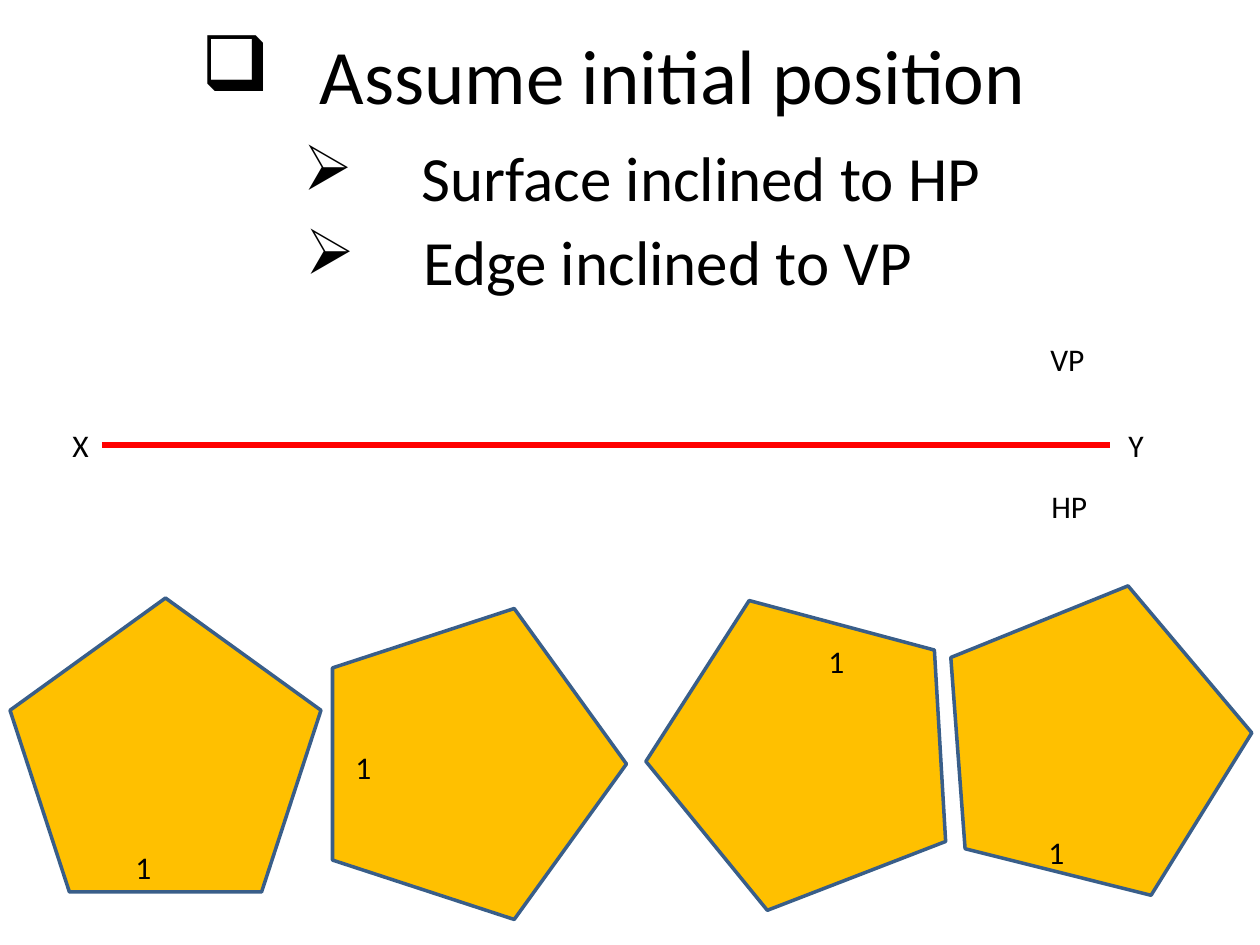
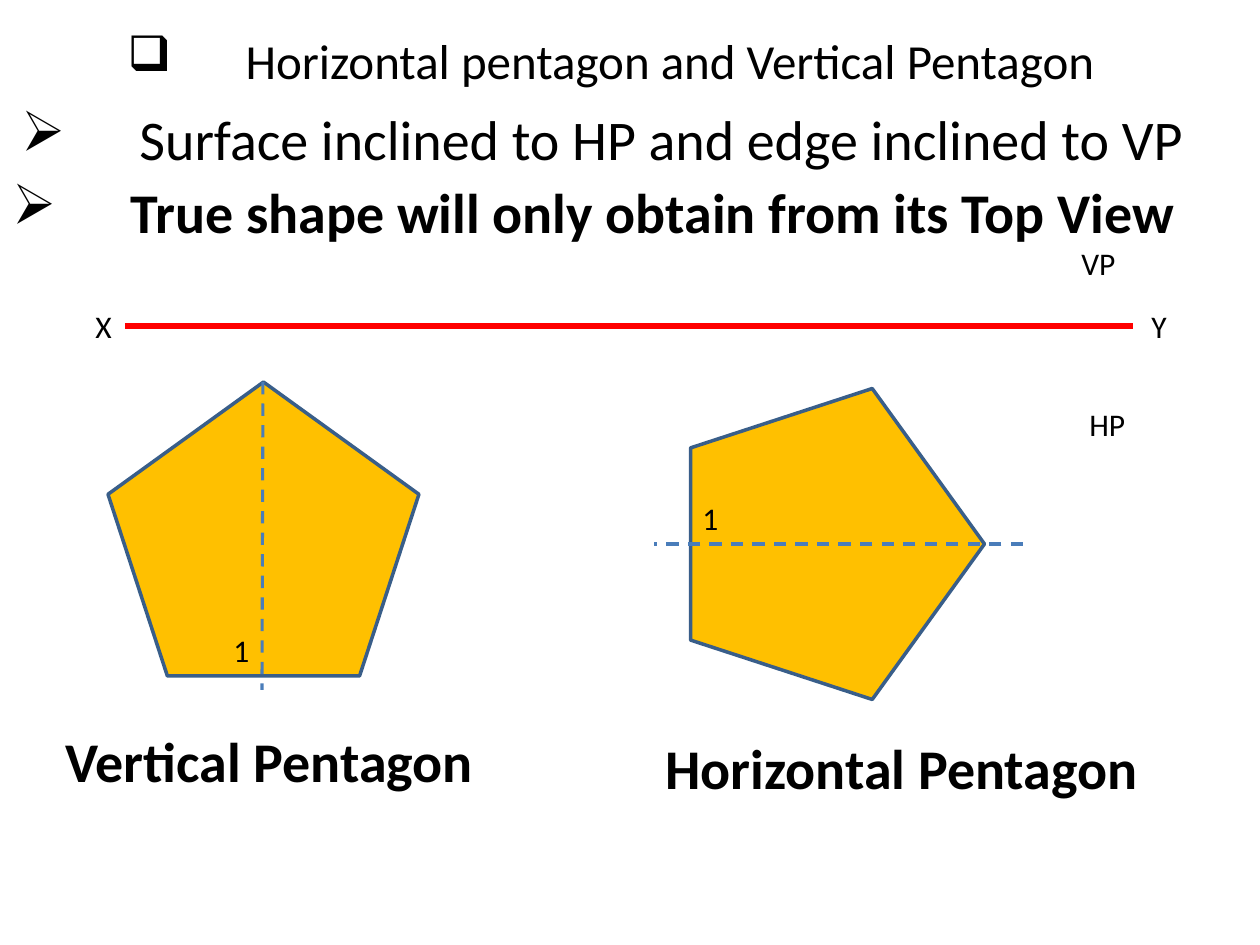
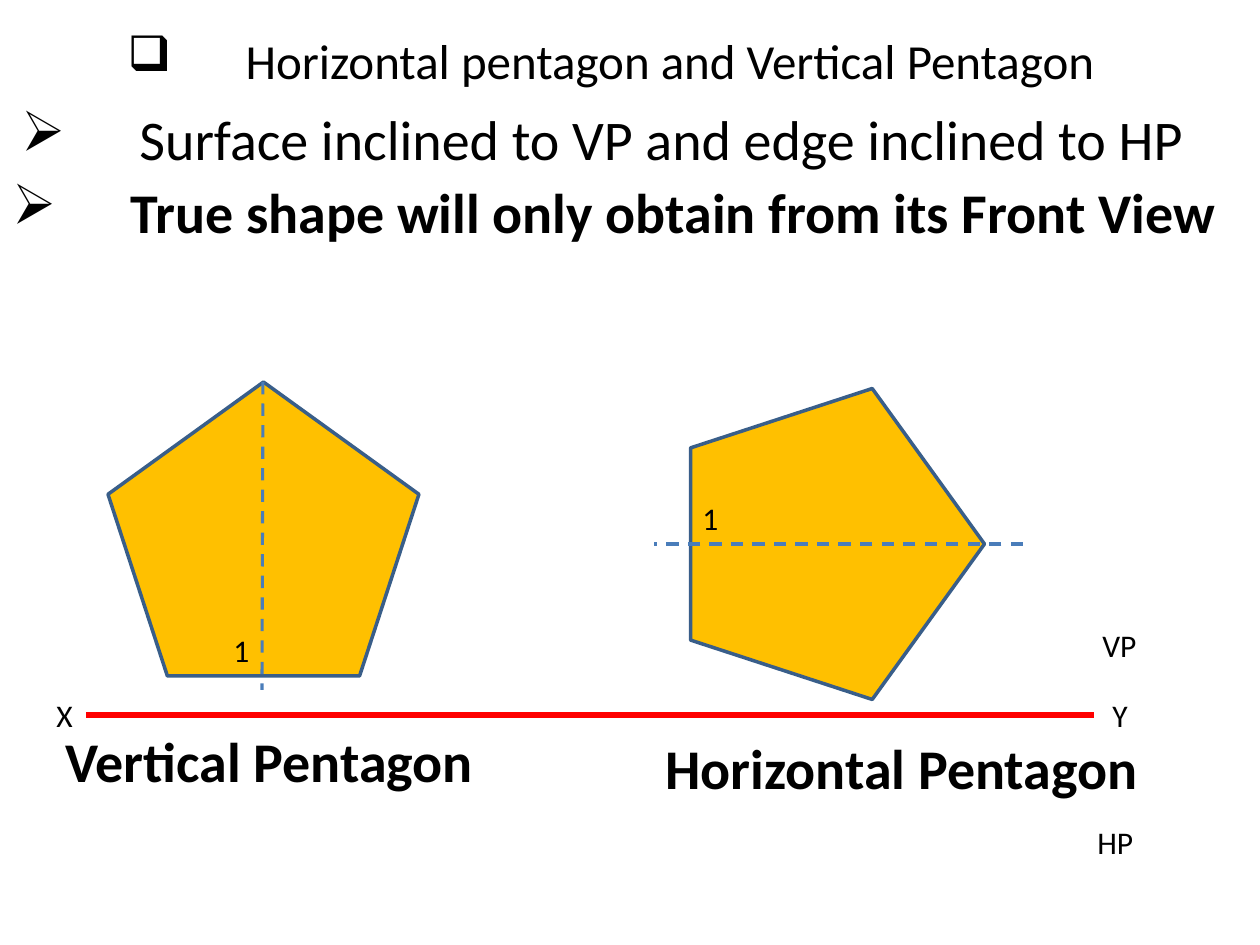
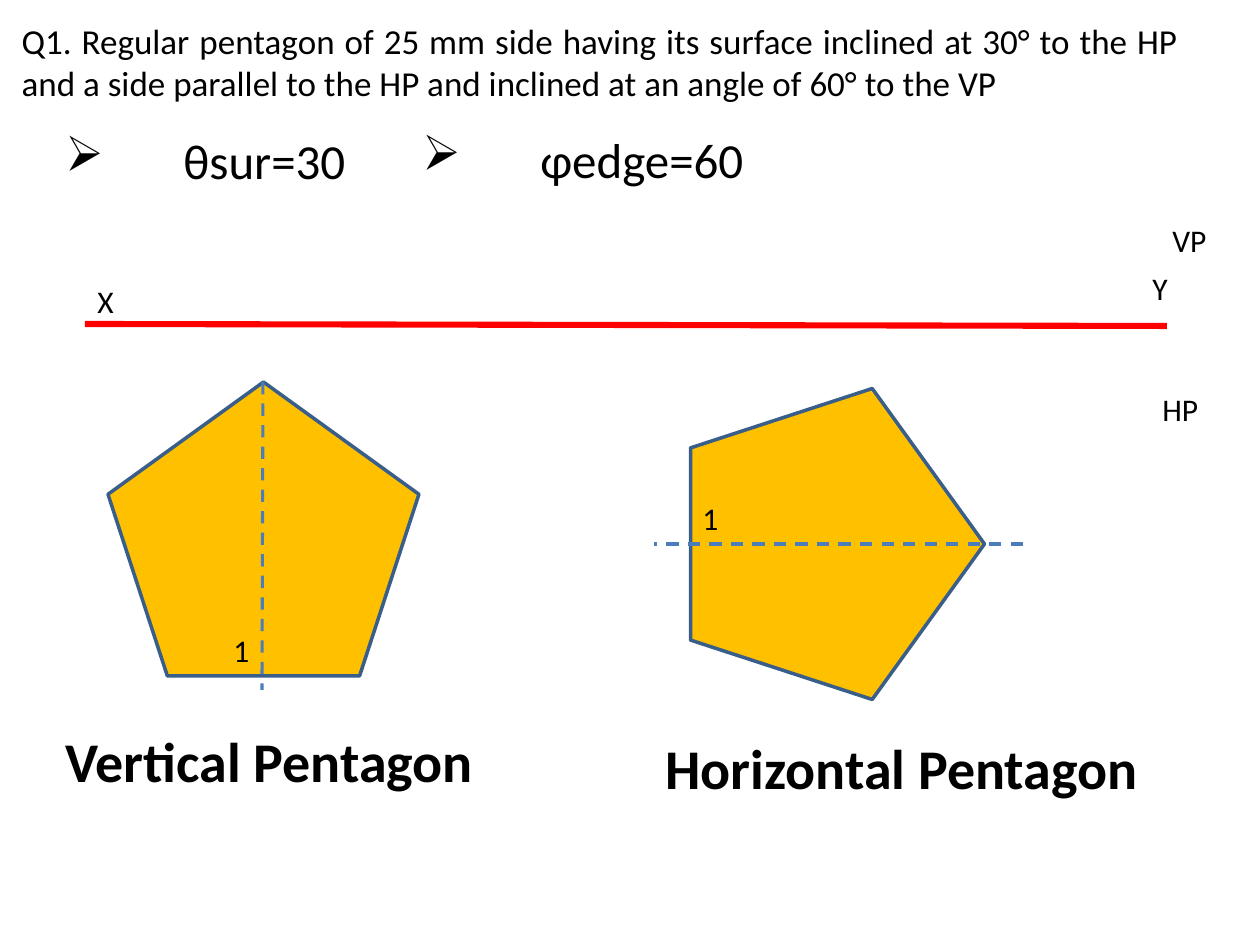
import pptx
import pptx.dml.color
import pptx.enum.dml
import pptx.enum.shapes
import pptx.enum.text
import pptx.oxml.ns
import pptx.util
import lxml.etree

ALIGN = pptx.enum.text.PP_ALIGN
EMU_PER_PX = 914400 / 126
SLIDE_SIZE = (1260, 945)
TITLE_ONLY = 5
FONT = "Calibri"
COLOURS = {"text": "000000", "axis": "FF0000", "pentagon": "FFC000",
           "outline": "395E89", "centre line": "4A7DBA"}

# Wingdings codes: q draws a shadowed box, Ø draws an arrowhead
BULLET_FONT = "Wingdings"
BOX, ARROW = "q", "Ø"
BULLET_INDENT = 118

# Text styles: font values, box height, bullet, alignment
STYLES = {
    "heading": {"font": {"size": 44}, "height": 106, "bullet": BOX},
    "subheading": {"font": {"size": 28}, "height": 72, "bullet": BOX},
    "question": {"font": {"size": 20}, "height": 97, "align": ALIGN.JUSTIFY},
    "condition": {"font": {"size": 36}, "height": 89, "bullet": ARROW},
    "rule": {"font": {"size": 32}, "height": 81, "bullet": ARROW},
    "strong rule": {"font": {"size": 32, "bold": True}, "height": 81, "bullet": ARROW},
    "angle": {"font": {"size": 28}, "height": 72, "bullet": ARROW},
    "caption": {"font": {"size": 32, "bold": True}, "height": 81},
    "label": {"font": {"size": 18}, "height": 50},
}
PENTAGON_SIZE = (311, 294)
LABEL_WIDTHS = {"VP": 62, "HP": 62, "X": 42, "Y": 40, "1": 42}

# Content shared by slides: (left, top, rotation, edge label position, centre line)
PAIR = [(108, 382, 0, (221, 625), ((263, 382), (262, 690))),
        (682, 397, 90, (690, 493), ((1023, 544), (654, 544)))]
CAPTIONS = [("caption", "Vertical Pentagon", 53, 720, 501),
            ("caption", "Horizontal Pentagon", 653, 727, 501)]
PAIR_TITLE = ("subheading", "Horizontal pentagon and Vertical Pentagon", 115, 24, 1003)
BESIDE_AXIS = ((-42, -25), (6, -25))  # X from the start, Y from the end

# Texts are (style, text, left, top, width)
SLIDES = [
    {"title": ("heading", "Assume initial position", 189, 21, 859),
     "texts": [("condition", "Surface inclined to HP", 291, 132, 723),
               ("condition", "Edge inclined to VP", 293, 216, 655)],
     "axis": ((102, 445), (1110, 445)), "axis labels": BESIDE_AXIS,
     "planes": {"VP": (1038, 334), "HP": (1039, 481)},
     "pentagons": [(10, 598, 0, (123, 842), None),
                   (324, 617, 90, (343, 742), None),
                   (665, 596, 50.8, (816, 636), None),
                   (922, 607, 229.9, (1036, 827), None)]},
    {"title": PAIR_TITLE,
     "texts": [("rule", "Surface inclined to HP and edge inclined to VP", 9, 98, 1251),
               ("strong rule", "True shape will only obtain from its Top View", 0, 171, 1251),
               *CAPTIONS],
     "axis": ((125, 326), (1133, 326)), "axis labels": BESIDE_AXIS,
     "planes": {"VP": (1069, 238), "HP": (1077, 399)},
     "pentagons": PAIR},
    {"title": PAIR_TITLE,
     "texts": [("rule", "Surface inclined to VP and edge inclined to HP", 9, 98, 1251),
               ("strong rule", "True shape will only obtain from its Front View", 0, 171, 1251),
               *CAPTIONS],
     "axis": ((86, 715), (1094, 715)), "axis labels": BESIDE_AXIS,
     "planes": {"VP": (1090, 620), "HP": (1085, 817)},
     "pentagons": PAIR},
    {"title": ("question", "Q1. Regular pentagon of 25 mm side having its surface inclined at 30° "
               "to the HP and a side parallel to the HP and inclined at an angle of 60° to the VP",
               9, 13, 1182),
     "texts": [("angle", "θsur=30", 53, 124, 309),
               ("angle", "φedge=60", 410, 123, 350),
               *CAPTIONS],
     "axis": ((85, 324), (1167, 326)), "axis labels": ((0, -48), (-27, -63)),
     "planes": {"VP": (1160, 215), "HP": (1150, 384)},
     "pentagons": PAIR},
]


def emu(*lengths):
    return [pptx.util.Emu(round(length * EMU_PER_PX)) for length in lengths]


def colour(name):
    return pptx.dml.color.RGBColor.from_string(COLOURS[name])


def add_bullet(paragraph, character):
    properties = paragraph._p.get_or_add_pPr()
    indent = emu(BULLET_INDENT)[0]
    properties.set("marL", str(indent))
    properties.set("indent", str(-indent))
    font = lxml.etree.SubElement(properties, pptx.oxml.ns.qn("a:buFont"))
    font.set("typeface", BULLET_FONT)
    font.set("charset", "2")
    bullet = lxml.etree.SubElement(properties, pptx.oxml.ns.qn("a:buChar"))
    bullet.set("char", character)


def write_text(shape, style_name, text):
    style = STYLES[style_name]
    frame = shape.text_frame
    frame_format = {"word_wrap": True,
                    "auto_size": pptx.enum.text.MSO_AUTO_SIZE.SHAPE_TO_FIT_TEXT,
                    "vertical_anchor": pptx.enum.text.MSO_ANCHOR.TOP}
    for name, value in frame_format.items():
        setattr(frame, name, value)
    paragraph = frame.paragraphs[0]
    paragraph.alignment = style.get("align", ALIGN.LEFT)
    if "bullet" in style:
        add_bullet(paragraph, style["bullet"])
    run = paragraph.add_run()
    run.text = text
    font_format = {"name": FONT, "bold": False, **style["font"]}
    font_format["size"] = pptx.util.Pt(font_format["size"])
    for name, value in font_format.items():
        setattr(run.font, name, value)
    run.font.color.rgb = colour("text")


def add_text(shapes, style_name, text, left, top, width):
    box = shapes.add_textbox(*emu(left, top, width, STYLES[style_name]["height"]))
    write_text(box, style_name, text)


def add_label(shapes, text, position):
    add_text(shapes, "label", text, *position, LABEL_WIDTHS[text])


def place_title(slide, style_name, text, left, top, width):
    title = slide.shapes.title
    lengths = emu(left, top, width, STYLES[style_name]["height"])
    for name, value in zip(("left", "top", "width", "height"), lengths):
        setattr(title, name, value)
    write_text(title, style_name, text)


def add_line(shapes, start, end, colour_name, points, dash=None):
    line = shapes.add_connector(pptx.enum.shapes.MSO_CONNECTOR.STRAIGHT,
                                *emu(*start, *end))
    line.line.color.rgb = colour(colour_name)
    line.line.width = pptx.util.Pt(points)
    line.line.dash_style = dash
    lxml.etree.SubElement(line._element.spPr, pptx.oxml.ns.qn("a:effectLst"))


def add_axis(slide, start, end, label_offsets):
    shapes = slide.shapes.add_group_shape().shapes
    add_line(shapes, start, end, "axis", 3.5)
    for text, point, offset in zip("XY", (start, end), label_offsets):
        add_label(shapes, text, (point[0] + offset[0], point[1] + offset[1]))


def add_pentagon(slide, left, top, rotation, label_position, centre_line):
    shapes = slide.shapes.add_group_shape().shapes
    pentagon = shapes.add_shape(pptx.enum.shapes.MSO_SHAPE.REGULAR_PENTAGON,
                                *emu(left, top, *PENTAGON_SIZE))
    pentagon.rotation = rotation
    pentagon.shadow.inherit = False
    pentagon.fill.solid()
    pentagon.fill.fore_color.rgb = colour("pentagon")
    pentagon.line.color.rgb = colour("outline")
    pentagon.line.width = pptx.util.Pt(2)
    add_label(shapes, "1", label_position)
    if centre_line:
        add_line(shapes, *centre_line, "centre line", 1.75,
                 pptx.enum.dml.MSO_LINE.DASH)


def build_slide(presentation, content):
    slide = presentation.slides.add_slide(presentation.slide_layouts[TITLE_ONLY])
    place_title(slide, *content["title"])
    for plane, position in content["planes"].items():
        add_label(slide.shapes, plane, position)
    add_axis(slide, *content["axis"], content["axis labels"])
    for pentagon in content["pentagons"]:
        add_pentagon(slide, *pentagon)
    for text in content["texts"]:
        add_text(slide.shapes, *text)


def main():
    presentation = pptx.Presentation()
    presentation.slide_width, presentation.slide_height = emu(*SLIDE_SIZE)
    for content in SLIDES:
        build_slide(presentation, content)
    presentation.save("out.pptx")


if __name__ == "__main__":
    main()
